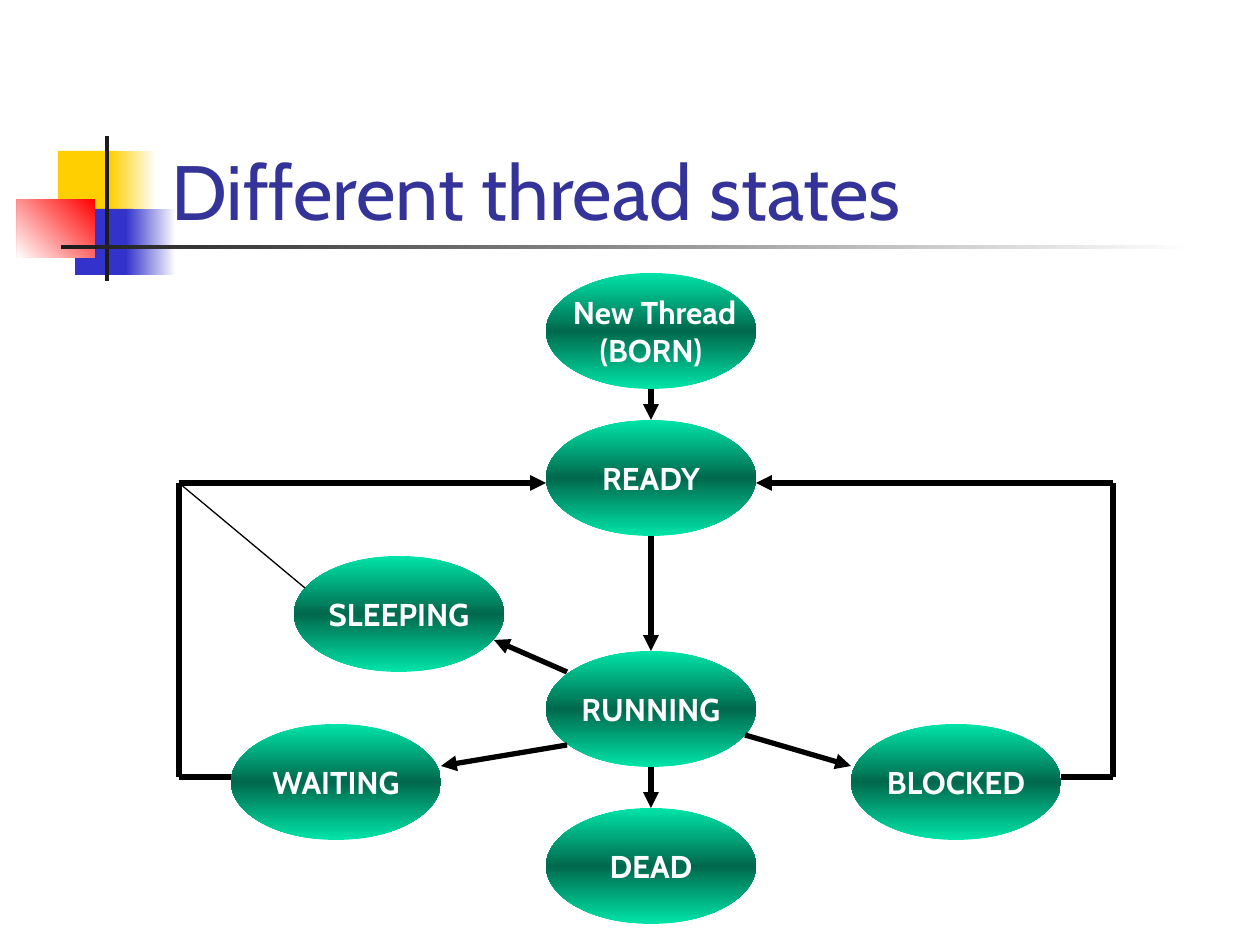
"""Build the slide that shows the states of a thread and the moves between them."""
from copy import deepcopy
from dataclasses import dataclass

from lxml.etree import SubElement
from pptx import Presentation
from pptx.dml.color import RGBColor
from pptx.enum.shapes import MSO_CONNECTOR, MSO_SHAPE
from pptx.enum.text import MSO_ANCHOR, PP_ALIGN
from pptx.oxml.ns import qn
from pptx.shapes.autoshape import Shape
from pptx.shapes.connector import Connector
from pptx.slide import Slide
from pptx.text.text import TextFrame
from pptx.util import Emu, Pt

PIXELS_PER_INCH = 126


@dataclass(frozen=True)
class Theme:
    font: str = "Cabin"
    title_size: int = 44
    state_size: int = 18
    thick_line: float = 3
    thin_line: float = 0.75
    title: str = "333399"
    white: str = "FFFFFF"
    black: str = "000000"
    yellow: str = "FFCF01"
    blue: str = "3333CC"
    red: str = "FF0000"
    bar: str = "1C1C1C"
    light_green: str = "00E4A8"
    dark_green: str = "00694D"


THEME = Theme()


@dataclass(frozen=True)
class Block:
    left: int
    top: int
    width: int
    height: int
    colors: tuple[str, ...]
    angle: int = 180


@dataclass(frozen=True)
class State:
    text: str
    left: int
    top: int
    width: int = 210
    height: int = 116


@dataclass(frozen=True)
class Line:
    start: tuple[int, int]
    end: tuple[int, int]
    arrow: bool = False
    weight: float = THEME.thick_line
    target: str = ""


BLOCKS = (
    Block(58, 151, 60, 66, (THEME.yellow,)),
    Block(110, 151, 46, 66, (THEME.white, THEME.yellow)),
    Block(75, 209, 58, 66, (THEME.blue,)),
    Block(126, 209, 50, 66, (THEME.white, THEME.blue)),
    Block(17, 199, 78, 59, (THEME.red, THEME.white), 225),
    Block(105, 136, 4, 145, (THEME.bar,)),
    Block(61, 245, 1134, 4, (THEME.white, THEME.bar)),
)

STATES = (
    State(" New Thread\n(BORN)", 546, 273),
    State("READY", 546, 420),
    State("RUNNING", 546, 651),
    State("DEAD", 546, 808),
    State("SLEEPING", 294, 556),
    State("WAITING", 231, 724),
    State("BLOCKED", 851, 724),
)

LINES = (
    Line((651, 389), (651, 420), arrow=True, target="READY"),
    Line((651, 536), (651, 651), arrow=True, target="RUNNING"),
    Line((651, 767), (651, 808), arrow=True, target="DEAD"),
    Line((567, 745), (441, 766), arrow=True),
    Line((745, 735), (851, 766), arrow=True),
    Line((567, 672), (494, 640), arrow=True),
    Line((231, 777), (179, 777)),
    Line((179, 777), (179, 483)),
    Line((179, 483), (546, 483), arrow=True),
    Line((1113, 777), (1113, 483)),
    Line((1113, 483), (756, 483), arrow=True),
    Line((1061, 777), (1113, 777)),
    Line((179, 483), (305, 588), weight=THEME.thin_line),
)


def px(*lengths: int) -> list[Emu]:
    return [Emu(round(length * 914400 / PIXELS_PER_INCH)) for length in lengths]


def write_text(frame: TextFrame, text: str, *, size: int, color: str, bold: bool = False,
               wrap: bool = True, align: PP_ALIGN = PP_ALIGN.LEFT,
               anchor: MSO_ANCHOR = MSO_ANCHOR.MIDDLE) -> None:
    frame.text = text
    frame.word_wrap = wrap
    frame.vertical_anchor = anchor
    for paragraph in frame.paragraphs:
        paragraph.alignment = align
        for run in paragraph.runs:
            run.font.name = THEME.font
            run.font.size = Pt(size)
            run.font.bold = bold
            run.font.color.rgb = RGBColor.from_string(color)


def paint(shape: Shape, colors: tuple[str, ...], angle: int) -> None:
    if len(colors) == 1:
        shape.fill.solid()
        shape.fill.fore_color.rgb = RGBColor.from_string(colors[0])
        return
    shape.fill.gradient()
    shape.fill.gradient_angle = angle
    stop_list = next(shape.element.spPr.iter(qn("a:gsLst")))
    for _ in colors[2:]:
        stop_list.append(deepcopy(stop_list[-1]))
    for index, (stop, color) in enumerate(zip(shape.fill.gradient_stops, colors)):
        stop.position = index / (len(colors) - 1)
        stop.color.rgb = RGBColor.from_string(color)


def add_filled(slide: Slide, kind: MSO_SHAPE, place: Block) -> Shape:
    shape = slide.shapes.add_shape(kind, *px(place.left, place.top, place.width, place.height))
    shape.shadow.inherit = False
    shape.line.fill.background()
    paint(shape, place.colors, place.angle)
    return shape


def add_state(slide: Slide, state: State) -> Shape:
    colors = (THEME.light_green, THEME.dark_green, THEME.light_green)
    place = Block(state.left, state.top, state.width, state.height, colors, 270)
    shape = add_filled(slide, MSO_SHAPE.OVAL, place)
    write_text(shape.text_frame, state.text, size=THEME.state_size, color=THEME.white,
               bold=True, wrap=False, align=PP_ALIGN.CENTER)
    return shape


def add_line(slide: Slide, line: Line, ovals: dict[str, Shape]) -> Connector:
    connector = slide.shapes.add_connector(MSO_CONNECTOR.STRAIGHT, *px(*line.start, *line.end))
    connector.line.width = Pt(line.weight)
    connector.line.color.rgb = RGBColor.from_string(THEME.black)
    if line.arrow:
        SubElement(connector.line._get_or_add_ln(), qn("a:tailEnd"), type="triangle")
    SubElement(connector.element.spPr, qn("a:effectLst"))
    if line.target:
        connector.end_connect(ovals[line.target], 0)
    return connector


def main() -> None:
    presentation = Presentation()
    presentation.slide_width, presentation.slide_height = px(1260, 945)
    slide = presentation.slides.add_slide(presentation.slide_layouts[6])
    for block in BLOCKS:
        add_filled(slide, MSO_SHAPE.RECTANGLE, block)
    title = slide.shapes.add_textbox(*px(159, 84, 1074, 158))
    write_text(title.text_frame, "Different thread states", size=THEME.title_size,
               color=THEME.title, anchor=MSO_ANCHOR.BOTTOM)
    ovals = {state.text: add_state(slide, state) for state in STATES}
    for line in LINES:
        add_line(slide, line, ovals)
    presentation.save("out.pptx")


if __name__ == "__main__":
    main()
